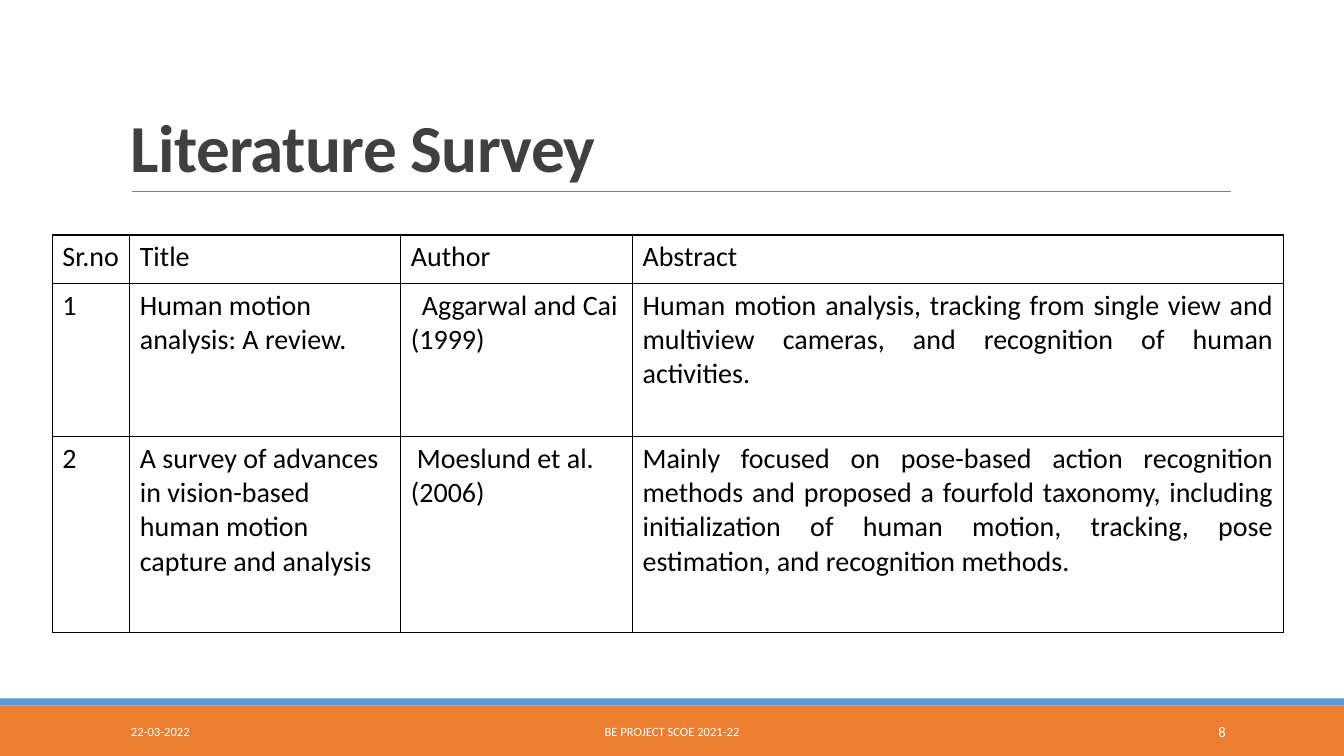
from dataclasses import dataclass
from typing import NamedTuple

from lxml.etree import SubElement
from pptx import Presentation
from pptx.dml.color import RGBColor
from pptx.enum.shapes import MSO_CONNECTOR as Line, MSO_SHAPE as Shape
from pptx.enum.text import MSO_ANCHOR as Anchor, PP_ALIGN as Align
from pptx.oxml.ns import qn
from pptx.slide import Slide
from pptx.table import _Cell as Cell
from pptx.text.text import TextFrame
from pptx.util import Cm, Pt


@dataclass(frozen=True)
class Theme:
    font: str = "Calibri"
    orange: str = "ED7D31"
    blue: str = "5B9BD5"
    rule: str = "808080"
    heading: str = "404040"
    white: str = "FFFFFF"
    black: str = "000000"
    heading_size: float = 48
    body_size: float = 20
    footer_size: float = 9
    number_size: float = 10.5


THEME = Theme()


class Box(NamedTuple):
    left: float
    top: float
    width: float
    height: float

    def emu(self) -> tuple[Cm, ...]:
        return tuple(Cm(v) for v in self)


class Bar(NamedTuple):
    box: Box
    color: str


class Label(NamedTuple):
    text: str
    box: Box
    size: float
    color: str = THEME.white
    align: Align = Align.LEFT
    anchor: Anchor = Anchor.MIDDLE
    bold: bool = False
    line_spacing: float = 1.0
    tracking: float = 0


class Paper(NamedTuple):
    number: str
    title: str
    author: str
    abstract: str
    author_indent: float = 0


SLIDE_W, SLIDE_H = 33.87, 19.05
FOOTER_TOP, FOOTER_H = 17.93, 1.02

BARS = [
    Bar(Box(0, 17.78, SLIDE_W, 1.27), THEME.orange),
    Bar(Box(0, 17.6, SLIDE_W, 0.18), THEME.blue),
]

LABELS = [
    Label("Literature Survey", Box(3.05, 0.79, 27.94, 4.04), THEME.heading_size, THEME.heading,
          anchor=Anchor.BOTTOM, bold=True, line_spacing=0.85, tracking=-0.5),
    Label("22-03-2022", Box(3.05, FOOTER_TOP, 6.86, FOOTER_H), THEME.footer_size),
    Label("BE PROJECT SCOE 2021-22", Box(10.24, FOOTER_TOP, 13.39, FOOTER_H),
          THEME.footer_size, align=Align.CENTER),
    Label("8", Box(27.51, FOOTER_TOP, 3.63, FOOTER_H), THEME.number_size, align=Align.RIGHT),
]

HEADER = Paper("Sr.no", "Title", "Author", "Abstract")
PAPERS = [
    Paper("1", "Human motion analysis: A review.", "Aggarwal and Cai (1999)",
          "Human motion analysis, tracking from single view and multiview cameras, "
          "and recognition of human activities.", 0.28),
    Paper("2", "A survey of advances in vision-based human motion capture and analysis",
          "Moeslund et al. (2006)",
          "Mainly focused on pose-based action recognition methods and proposed a fourfold "
          "taxonomy, including initialization of human motion, tracking, pose estimation, "
          "and recognition methods.", 0.15),
]
COL_WIDTHS = [1.95, 6.83, 5.84, 16.4]
ROW_HEIGHTS = [1.22, 3.86, 4.93]


def write(tf: TextFrame, text: str, *, size: float, color: str, align: Align = Align.LEFT,
          bold: bool = False, line_spacing: float = 1.0, tracking: float = 0,
          indent: float = 0) -> None:
    tf.word_wrap = True
    p = tf.paragraphs[0]
    p.alignment = align
    p.line_spacing = line_spacing
    if indent:
        p._p.get_or_add_pPr().set("indent", str(Cm(indent)))
    r = p.add_run()
    r.text = text
    r.font.name = THEME.font
    r.font.size = Pt(size)
    r.font.bold = bold
    r.font.color.rgb = RGBColor.from_string(color)
    if tracking:
        r._r.get_or_add_rPr().set("spc", str(round(tracking * 100)))


def add_bar(s: Slide, bar: Bar) -> None:
    sp = s.shapes.add_shape(Shape.RECTANGLE, *bar.box.emu())
    sp.shadow.inherit = False
    sp.fill.solid()
    sp.fill.fore_color.rgb = RGBColor.from_string(bar.color)
    sp.line.fill.background()


def add_rule(s: Slide, left: float, right: float, y: float) -> None:
    rule = s.shapes.add_connector(Line.STRAIGHT, Cm(left), Cm(y), Cm(right), Cm(y))
    rule.line.color.rgb = RGBColor.from_string(THEME.rule)
    rule.line.width = Pt(0.5)
    SubElement(rule._element.spPr, qn("a:effectLst"))


def add_label(s: Slide, label: Label) -> None:
    tf = s.shapes.add_textbox(*label.box.emu()).text_frame
    tf.vertical_anchor = label.anchor
    write(tf, label.text, size=label.size, color=label.color, align=label.align,
          bold=label.bold, line_spacing=label.line_spacing, tracking=label.tracking)


def outline(cell: Cell) -> None:
    tcPr = cell._tc.get_or_add_tcPr()
    for side in ("lnL", "lnR", "lnT", "lnB"):
        ln = SubElement(tcPr, qn(f"a:{side}"), w=str(Pt(1)))
        fill = SubElement(ln, qn("a:solidFill"))
        SubElement(fill, qn("a:srgbClr"), val=THEME.black)


def add_survey(s: Slide, left: float, top: float) -> None:
    rows = [HEADER, *PAPERS]
    box = Box(left, top, sum(COL_WIDTHS), sum(ROW_HEIGHTS))
    table = s.shapes.add_table(len(rows), len(COL_WIDTHS), *box.emu()).table
    table.first_row = table.horz_banding = False
    for col, width in zip(table.columns, COL_WIDTHS):
        col.width = Cm(width)
    for row, height, paper in zip(table.rows, ROW_HEIGHTS, rows):
        row.height = Cm(height)
        texts = (paper.number, paper.title, paper.author, paper.abstract)
        aligns = (Align.LEFT, Align.LEFT, Align.LEFT, Align.JUSTIFY)
        indents = (0, 0, paper.author_indent, 0)
        for cell, text, align, indent in zip(row.cells, texts, aligns, indents):
            write(cell.text_frame, text, size=THEME.body_size, color=THEME.black,
                  align=align, indent=indent)
            outline(cell)
            cell.fill.background()


def main() -> None:
    prs = Presentation()
    prs.slide_width, prs.slide_height = Cm(SLIDE_W), Cm(SLIDE_H)
    s = prs.slides.add_slide(prs.slide_layouts[6])
    for bar in BARS:
        add_bar(s, bar)
    add_rule(s, 3.33, 31.01, 4.83)
    for label in LABELS:
        add_label(s, label)
    add_survey(s, 1.32, 5.92)
    prs.save("out.pptx")


if __name__ == "__main__":
    main()
